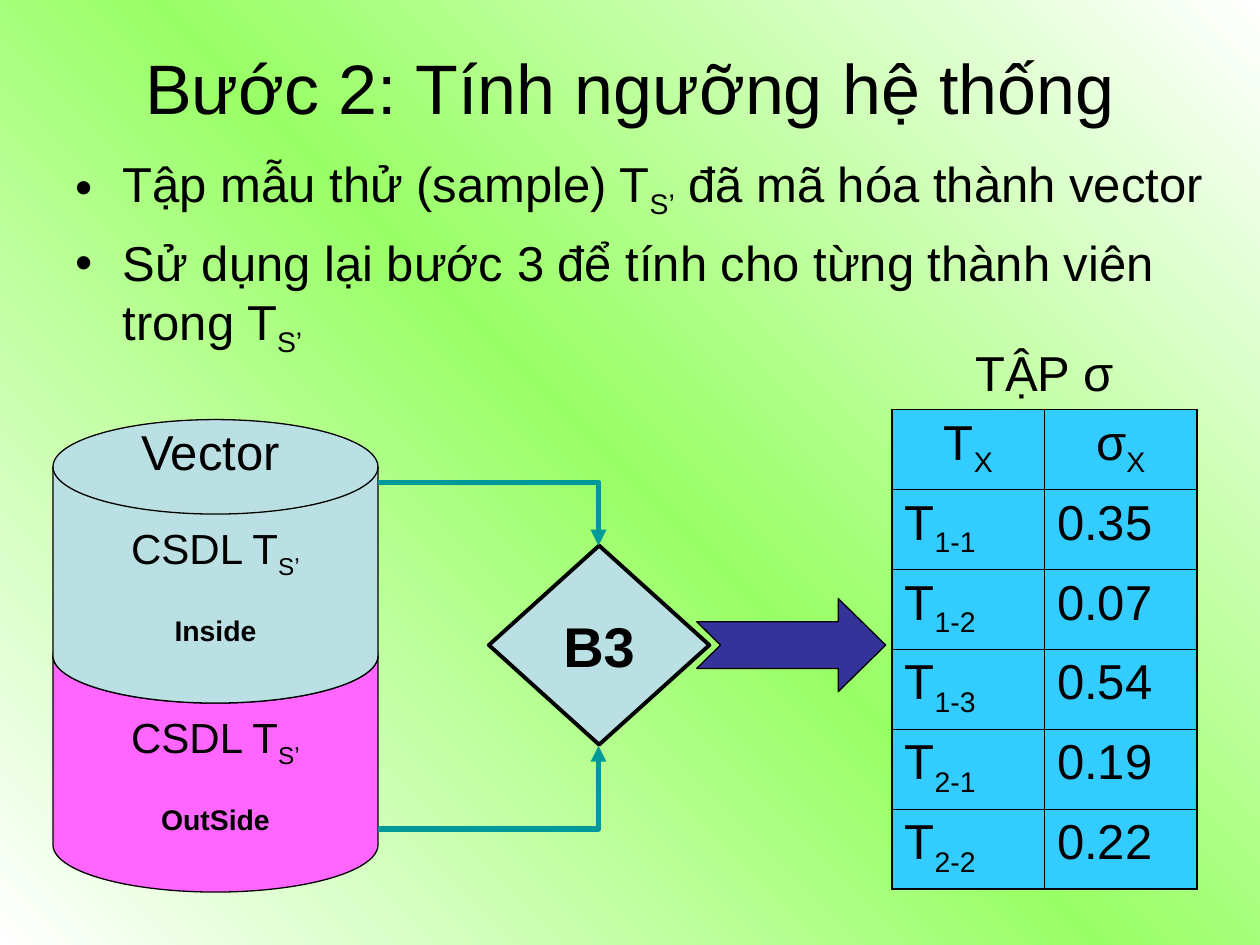
from copy import deepcopy

from lxml import etree
from pptx import Presentation
from pptx.dml.color import RGBColor
from pptx.enum.shapes import MSO_SHAPE
from pptx.enum.text import MSO_ANCHOR, MSO_AUTO_SIZE, PP_ALIGN
from pptx.oxml.ns import qn
from pptx.util import Inches, Pt

LEFT, CENTER = PP_ALIGN.LEFT, PP_ALIGN.CENTER
MIDDLE, TOP = MSO_ANCHOR.MIDDLE, MSO_ANCHOR.TOP
DISK = MSO_SHAPE.FLOWCHART_MAGNETIC_DISK
DECISION = MSO_SHAPE.FLOWCHART_DECISION
NOTCHED_ARROW = MSO_SHAPE.NOTCHED_RIGHT_ARROW


class Theme:
    font = "Arial"
    black = RGBColor.from_string("000000")
    white = RGBColor.from_string("FFFFFF")
    green = RGBColor.from_string("99FF66")
    pale = RGBColor.from_string("BBE0E3")
    pink = RGBColor.from_string("FF66FF")
    navy = RGBColor.from_string("333399")
    teal = RGBColor.from_string("009999")
    cyan = RGBColor.from_string("33CCFF")
    title, step, body, disk = Pt(40), Pt(32), Pt(28), Pt(24)
    thin, thick, flow = Pt(0.75), Pt(2.25), Pt(3)
    grid, frame = Pt(0.45), Pt(1.08)


def write(p, parts, size, align=CENTER, bold=False):
    """Fill a paragraph; every second part is a subscript."""
    for i, part in enumerate(parts):
        if not part:
            continue
        r = p.add_run()
        r.text = part
        r.font.name, r.font.size, r.font.bold = Theme.font, size, bold
        r.font.color.rgb = Theme.black
        if i % 2:
            r.font._element.set("baseline", "-25000")
    p.alignment = align


def add_block(kind, box, fill, width):
    sp = s.shapes.add_shape(kind, *map(Inches, box))
    sp.shadow.inherit = False
    sp.fill.solid()
    sp.fill.fore_color.rgb = fill
    sp.line.color.rgb = Theme.black
    sp.line.width = width
    sp.text_frame.word_wrap = False
    sp.text_frame.vertical_anchor = MIDDLE
    return sp


prs = Presentation()
prs.slide_width, prs.slide_height = Inches(10), Inches(7.5)
s = prs.slides.add_slide(prs.slide_layouts[1])

# Background: green band between white corners
bg = s.background.fill
bg.gradient()
bg.gradient_angle = 225
stops = s.element.find(".//" + qn("a:gsLst"))
stops.insert(1, deepcopy(stops[0]))
for stop, pos, color in zip(bg.gradient_stops, (0, 0.5, 1),
                            (Theme.white, Theme.green, Theme.white)):
    stop.position = pos
    stop.color.rgb = color

# Title and bullets
title, body = s.shapes.title, s.placeholders[1]
for sp, box, anchor in ((title, (0.5, 0.3, 9, 0.78), MIDDLE),
                        (body, (0.5, 1.17, 9.25, 2.08), TOP)):
    sp.left, sp.top, sp.width, sp.height = map(Inches, box)
    sp.text_frame.auto_size = MSO_AUTO_SIZE.NONE
    sp.text_frame.vertical_anchor = anchor
write(title.text_frame.paragraphs[0], ["Bước 2: Tính ngưỡng hệ thống"], Theme.title)

bullets = [
    ["Tập mẫu thử (sample) T", "S’", " đã mã hóa thành vector"],
    ["Sử dụng lại bước 3 để tính cho từng thành viên trong T", "S’"],
]
tf = body.text_frame
for i, parts in enumerate(bullets):
    p = tf.add_paragraph() if i else tf.paragraphs[0]
    write(p, parts, Theme.body, LEFT)
    p.space_before = Pt(7)

# Stacked databases, the lower one first
for top, fill, name in ((4.83, Theme.pink, "OutSide"), (3.33, Theme.pale, "Inside")):
    tf = add_block(DISK, (0.42, top, 2.58, 2.25), fill, Theme.thin).text_frame
    write(tf.paragraphs[0], ["CSDL T", "S’"], Theme.disk)
    write(tf.add_paragraph(), ["", name], Theme.body, bold=True)

# Result arrow and step 3
arrow = add_block(NOTCHED_ARROW, (5.53, 4.75, 1.5, 0.74), Theme.navy, Theme.thin)
arrow.adjustments[0], arrow.adjustments[1] = 0.5, 0.51
step = add_block(DECISION, (3.88, 4.33, 1.75, 1.58), Theme.pale, Theme.thick)
write(step.text_frame.paragraphs[0], ["B3"], Theme.step, bold=True)

# Bent flow lines from the databases to step 3
for start_y, end_y in ((6.58, 5.92), (3.83, 4.33)):
    fb = s.shapes.build_freeform(Inches(3), Inches(start_y))
    fb.add_line_segments([(Inches(4.75), Inches(y)) for y in (start_y, end_y)],
                         close=False)
    sp = fb.convert_to_shape()
    sp.shadow.inherit = False
    sp.fill.background()
    sp.line.color.rgb = Theme.teal
    sp.line.width = Theme.flow
    etree.SubElement(sp.line._get_or_add_ln(), qn("a:tailEnd"), type="triangle")

# Captions
for text, box in (("Vector", (0.88, 3.3, 1.58, 0.57)),
                  ("TẬP σ", (7.08, 2.67, 2.42, 0.57))):
    tf = s.shapes.add_textbox(*map(Inches, box)).text_frame
    tf.word_wrap = True
    write(tf.paragraphs[0], [text], Theme.body)

# Threshold table
rows = [
    (["T", "X"], ["σ", "X"]),
    (["T", "1-1"], ["0.35"]),
    (["T", "1-2"], ["0.07"]),
    (["T", "1-3"], ["0.54"]),
    (["T", "2-1"], ["0.19"]),
    (["T", "2-2"], ["0.22"]),
]
last = len(rows) - 1
row_height = Inches(0.635)
table = s.shapes.add_table(len(rows), 2, Inches(7.08), Inches(3.25),
                           Inches(2.42), row_height * len(rows)).table
table.first_row = table.horz_banding = False
for i, row in enumerate(rows):
    table.rows[i].height = row_height
    for j, parts in enumerate(row):
        cell = table.cell(i, j)
        cell.fill.solid()
        cell.fill.fore_color.rgb = Theme.cyan
        write(cell.text_frame.paragraphs[0], parts, Theme.body, LEFT if i else CENTER)
        # Heavier border around the outside
        outer = {"lnL": j == 0, "lnR": j == 1, "lnT": i == 0, "lnB": i == last}
        tcPr = cell._tc.get_or_add_tcPr()
        for k, (side, is_outer) in enumerate(outer.items()):
            ln = etree.Element(qn("a:" + side),
                               w=str(Theme.frame if is_outer else Theme.grid))
            fill = etree.SubElement(ln, qn("a:solidFill"))
            etree.SubElement(fill, qn("a:srgbClr"), val=str(Theme.black))
            tcPr.insert(k, ln)

prs.save("out.pptx")
